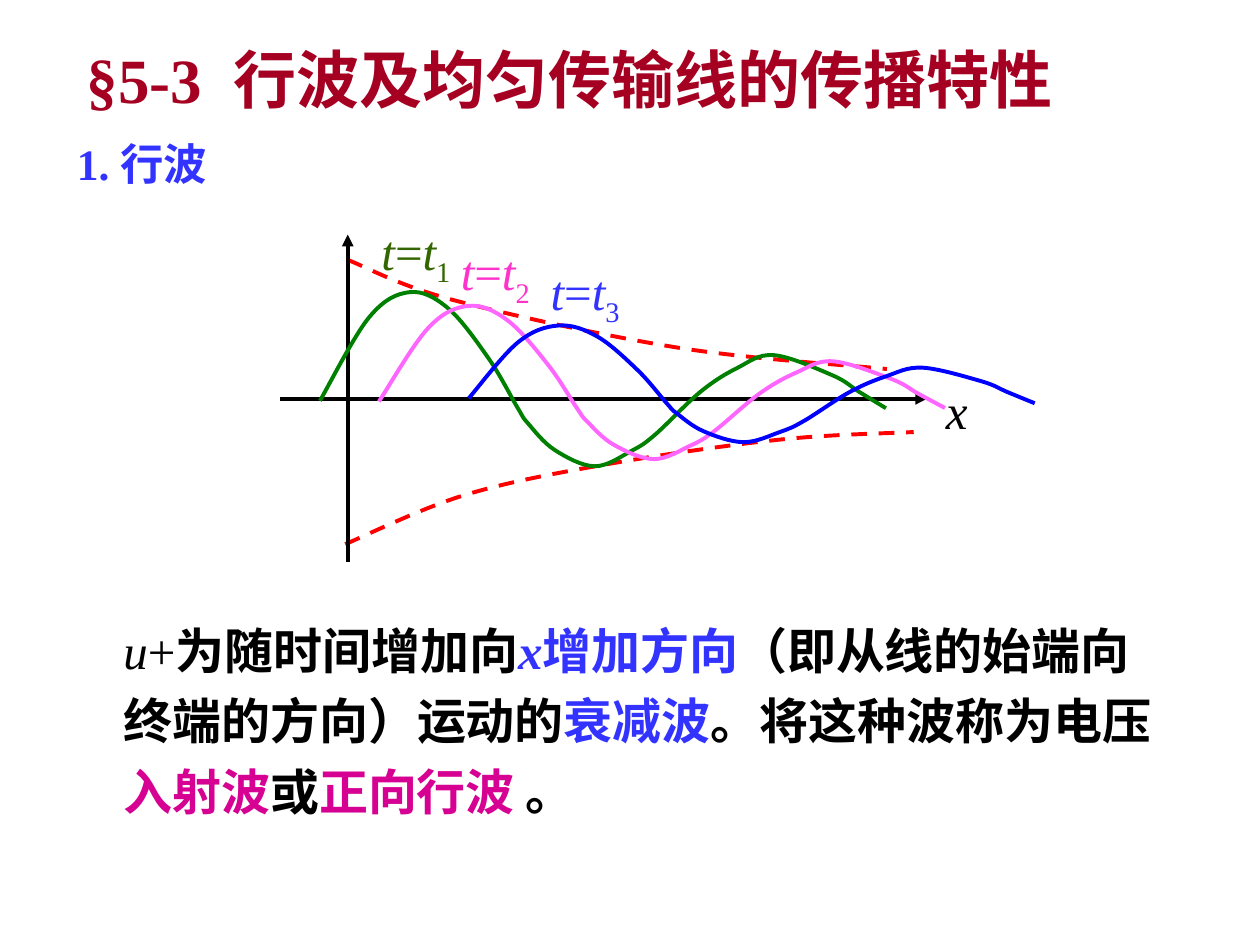
"""Build the slide on travelling waves along a uniform transmission line."""
from lxml import etree
from pptx import Presentation
from pptx.dml.color import RGBColor
from pptx.enum.dml import MSO_LINE
from pptx.enum.shapes import MSO_CONNECTOR
from pptx.enum.text import MSO_ANCHOR, PP_ALIGN
from pptx.oxml.ns import qn
from pptx.util import Cm, Pt

DASH = MSO_LINE.DASH
LINE = MSO_CONNECTOR.STRAIGHT
TOP, MID = MSO_ANCHOR.TOP, MSO_ANCHOR.MIDDLE
LEFT, CENTER = PP_ALIGN.LEFT, PP_ALIGN.CENTER
FACE = "Times New Roman"
COLORS = {
    "title": "A50021", "blue": "3333FF", "black": "000000", "rose": "D60093",
    "red": "FF0000", "green": "008000", "pink": "FF66FF", "navy": "0000FF",
    "moss": "336600", "magenta": "FF33CC",
}

UPPER = [(7.01, 5.24), (9.14, 6.05), (13.67, 7.01), (17.88, 7.44)]
LOWER = [(6.96, 10.97), (9.37, 9.98), (12.29, 9.35), (15.75, 8.86), (18.42, 8.71)]
CREST = 5.87
WAVE = [
    (6.45, 8.08), (7.44, 6.4), (8.26, 5.89), (9.04, 6.22), (9.86, 7.24),
    (10.44, 8.23), (10.64, 8.53), (11.18, 9.07), (11.99, 9.4), (12.73, 9.09),
    (13.21, 8.76), (14.12, 7.9), (14.86, 7.42), (15.6, 7.16), (16.79, 7.57),
    (17.32, 7.9), (17.86, 8.23),
]
WAVES = [
    ("1", "green", "moss", 0, CREST, 1, (7.44, 4.34)),
    ("2", "pink", "magenta", 1.19, 6.15, 0.88, (9.04, 4.75)),
    ("3", "navy", "blue", 3, 6.55, 0.67, (10.85, 5.14)),
]
AXES = [((5.64, 8.04), (18.69, 8.04)), ((7.01, 11.33), (7.01, 4.73))]
HEAD = [("§5-3  行波及均匀传输线的传播特性", "title", "b")]
ITEM = [("1. 行波", "blue", "b")]
BODY = [
    ("u", "black", "i"), ("+", "black", ""),
    ("为随时间增加向", "black", "b"), ("x", "blue", "bi"),
    ("增加方向", "blue", "b"),
    ("（即从线的始端向终端的方向）运动的", "black", "b"),
    ("衰减波", "blue", "b"), ("。将这种波称为电压", "black", "b"),
    ("入射波", "rose", "b"), ("或", "black", "b"),
    ("正向行波", "rose", "b"), (" 。", "black", "b"),
]


def paint(name):
    return RGBColor.from_string(COLORS[name])


def write(shapes, box, runs, size, anchor=TOP, align=LEFT, space=1.0, wrap=True):
    frame = shapes.add_textbox(*map(Cm, box)).text_frame
    frame.word_wrap = wrap
    frame.vertical_anchor = anchor
    para = frame.paragraphs[0]
    para.alignment = align
    para.line_spacing = space
    para.font.name = FACE
    para.font.size = Pt(size)
    for text, color, style in runs:
        run = para.add_run()
        run.text = text
        run.font.color.rgb = paint(color)
        run.font.bold = "b" in style
        run.font.italic = "i" in style
        if "s" in style:
            run.font._element.set("baseline", "-25000")


def bend(knots):
    ends = [knots[0], *knots, knots[-1]]
    points = []
    for a, b, c, d in zip(ends, ends[1:], ends[2:], ends[3:]):
        points += [
            tuple(q + (r - p) / 6 for p, q, r in zip(a, b, c)),
            tuple(r - (s - q) / 6 for q, r, s in zip(b, c, d)),
            c,
        ]
    return points


def curve(shapes, knots, color, dash=None):
    points = [(Cm(x), Cm(y)) for x, y in [knots[0], *bend(knots)]]
    pen = shapes.build_freeform(*points[0])
    pen.add_line_segments(points[1:], close=False)
    shape = pen.convert_to_shape()
    steps = list(shape._element.iter(qn("a:lnTo")))
    for trio in zip(steps[::3], steps[1::3], steps[2::3]):
        arc = etree.SubElement(trio[0].getparent(), qn("a:cubicBezTo"))
        for step in trio:
            arc.append(step[0])
            step.getparent().remove(step)
    shape.shadow.inherit = False
    shape.fill.background()
    shape.line.color.rgb = paint(color)
    shape.line.width = Pt(2.25)
    if dash:
        shape.line.dash_style = dash


def arrow(shapes, start, end):
    axis = shapes.add_connector(LINE, *map(Cm, start + end))
    axis.line.color.rgb = paint("black")
    axis.line.width = Pt(2.25)
    etree.SubElement(axis.line._get_or_add_ln(), qn("a:tailEnd"), type="triangle")
    etree.SubElement(axis._element.spPr, qn("a:effectLst"))


def frame(shapes):
    for knots in (UPPER, LOWER):
        curve(shapes, knots, "red", DASH)
    for start, end in AXES:
        arrow(shapes, start, end)
    write(shapes, (18.82, 7.54, 0.94, 1.45), [("x", "black", "i")], 28,
          MID, CENTER, wrap=False)


def main():
    deck = Presentation()
    deck.slide_width, deck.slide_height = Cm(25.4), Cm(19.05)
    shapes = deck.slides.add_slide(deck.slide_layouts[6]).shapes
    write(shapes, (1.5, 0.53, 22.43, 2.11), HEAD, 36, MID)
    write(shapes, (1.3, 2.92, 4.01, 1.07), ITEM, 24.8, space=0.7)
    for index, color, ink, shift, top, scale, spot in WAVES:
        group = shapes.add_group_shape().shapes
        if not shift:
            frame(group)
        knots = [(x + shift, top + (y - CREST) * scale) for x, y in WAVE]
        curve(group, knots, color)
        label = [("t", ink, "i"), ("=", ink, ""), ("t", ink, "i"), (index, ink, "s")]
        write(group, (*spot, 2.41, 1.6), label, 28)
    write(shapes, (2.24, 12.14, 21.62, 4.52), BODY, 28, MID, space=1.2)
    deck.save("out.pptx")


if __name__ == "__main__":
    main()
